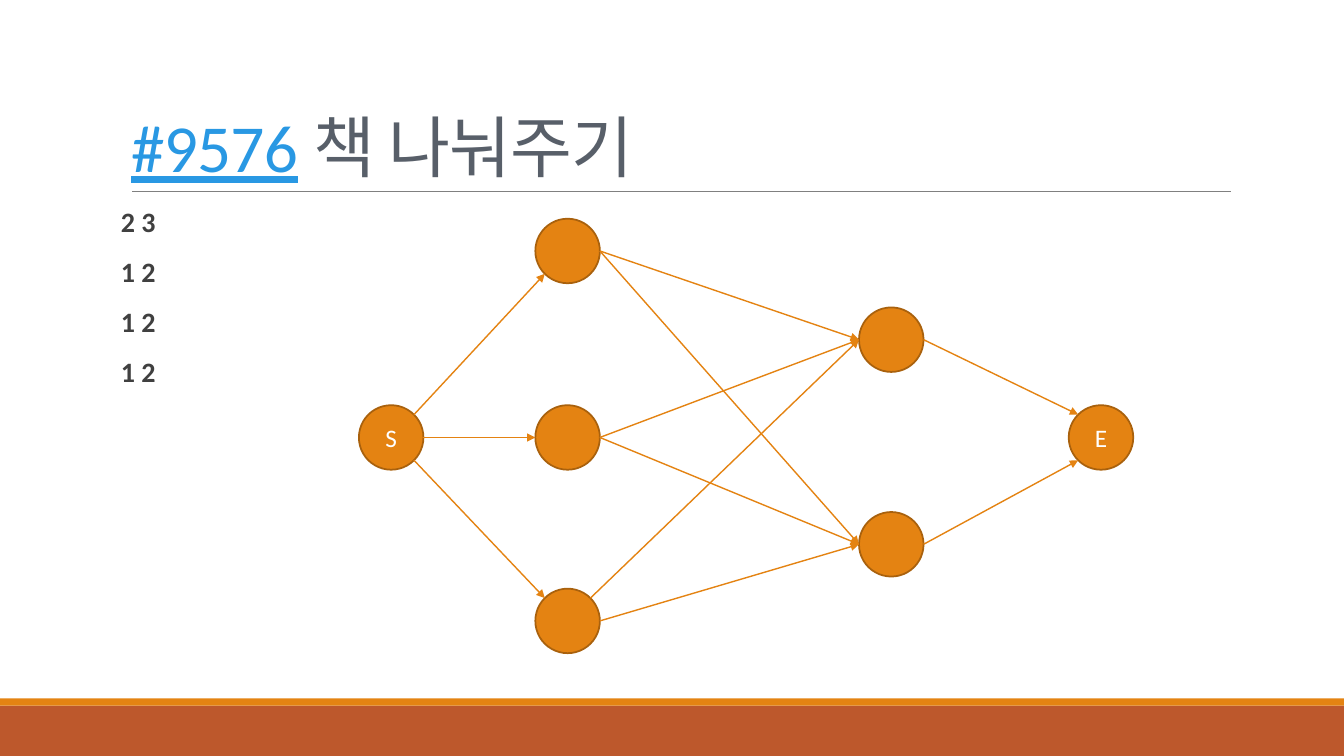
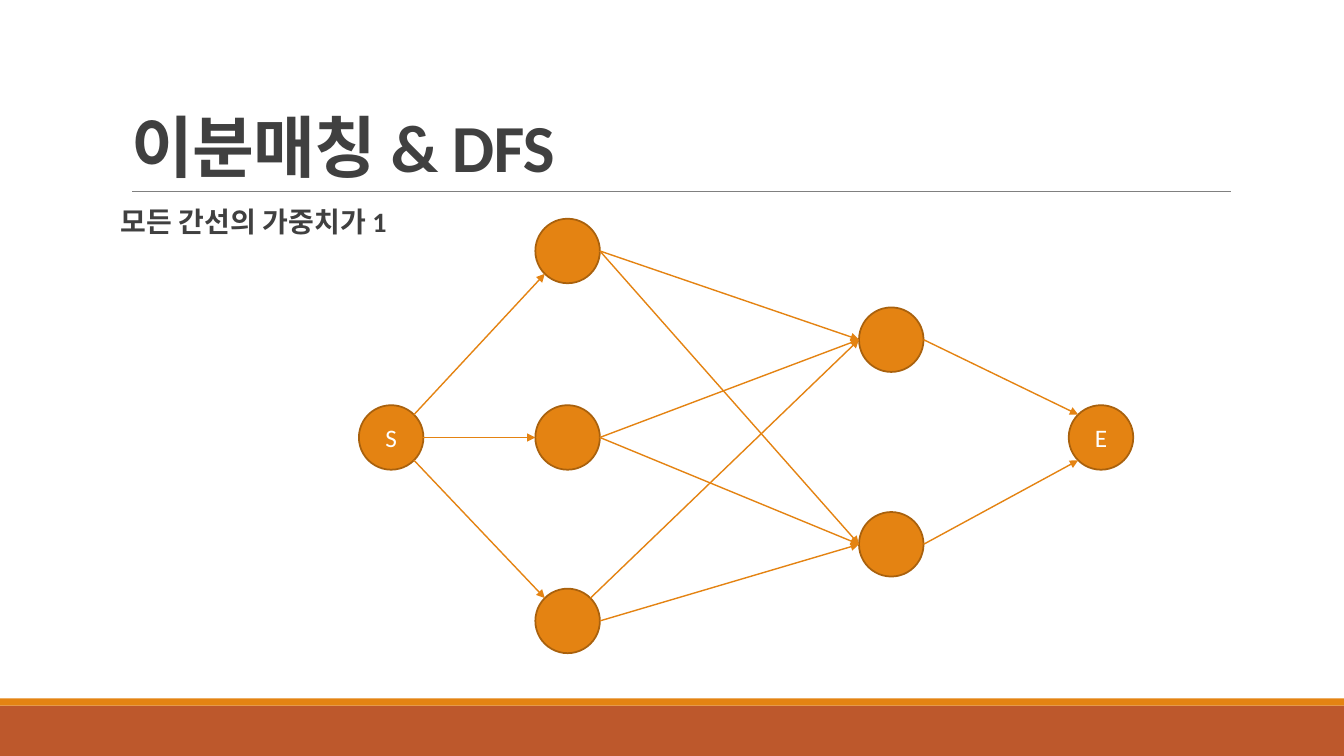
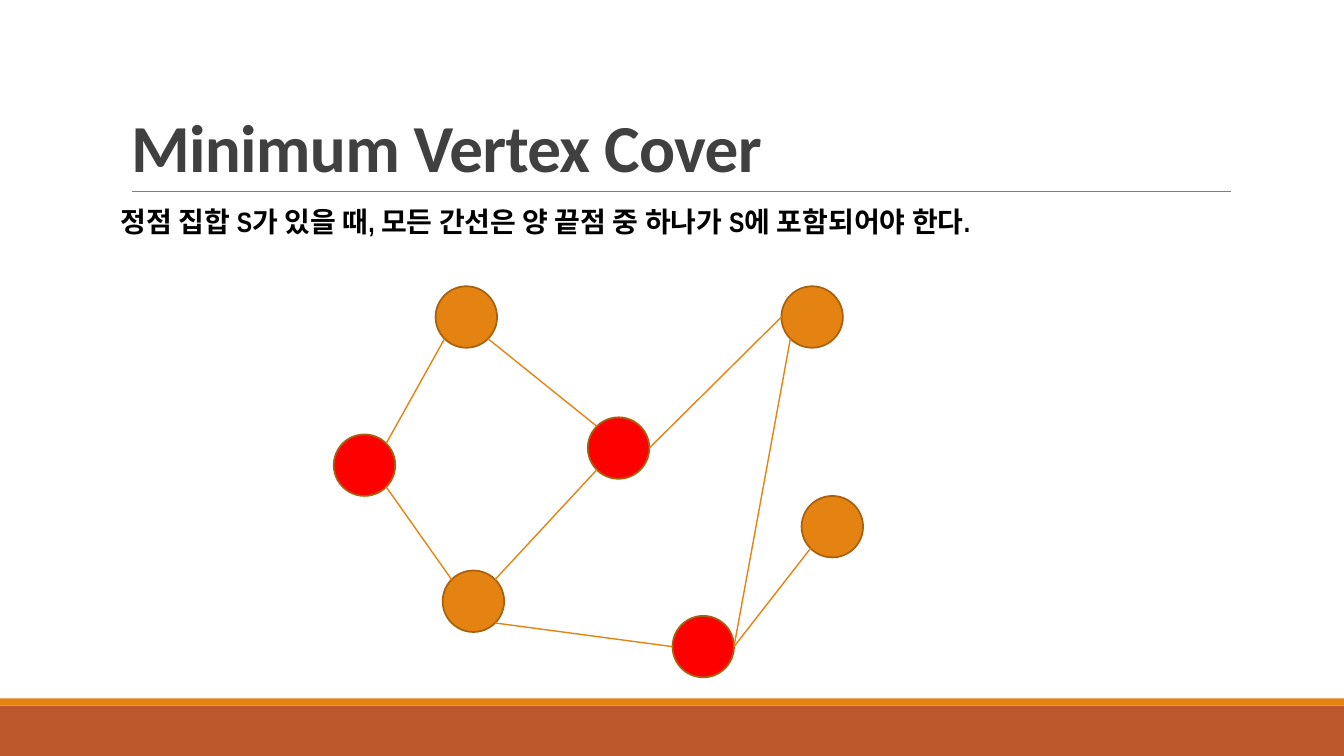
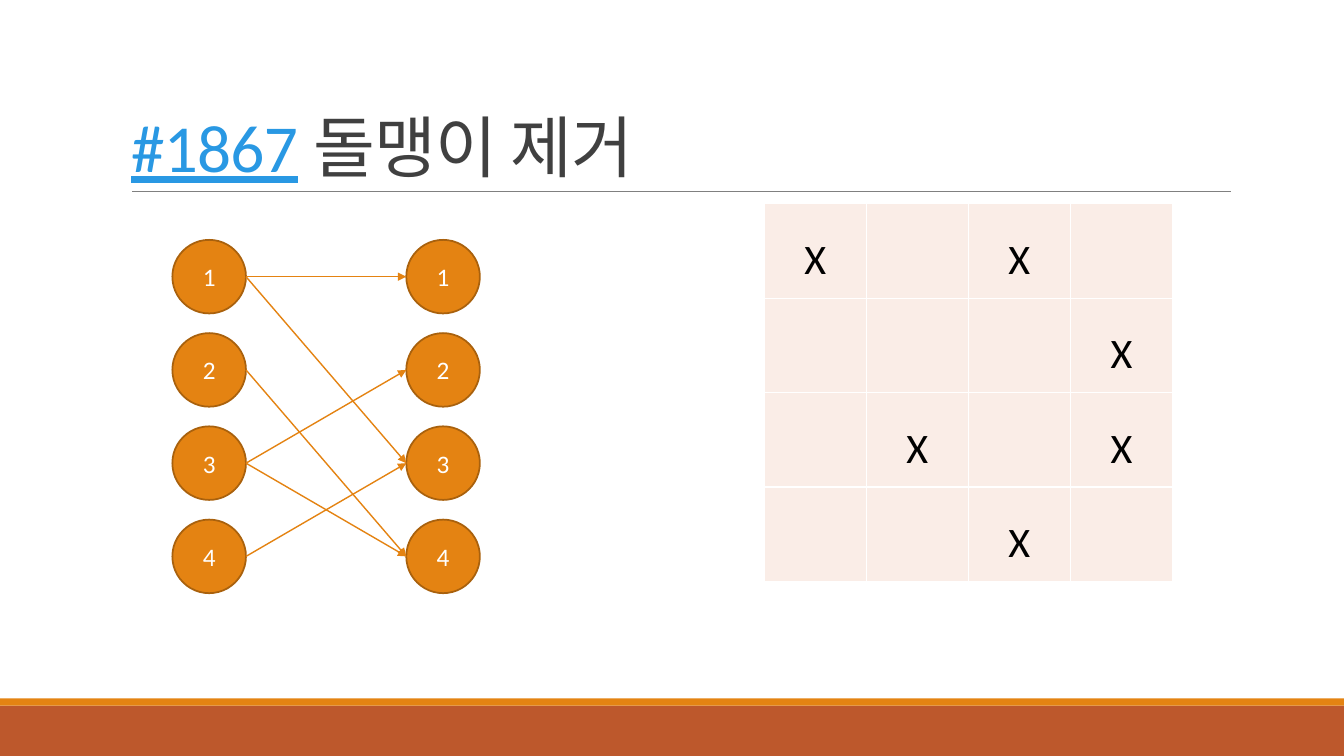
from dataclasses import dataclass
from math import sqrt

from lxml import etree
from pptx import Presentation
from pptx.dml.color import RGBColor
from pptx.enum import shapes, text
from pptx.oxml import ns
from pptx.util import Inches, Pt


@dataclass(frozen=True)
class Theme:
    orange: str = "E48312"
    outline: str = "A9610D"
    rust: str = "BD582C"
    red: str = "FF0000"
    ink: str = "404040"
    slate: str = "585F69"
    link: str = "2998E3"
    rule: str = "808080"
    cell: str = "FAEDE7"
    black: str = "000000"
    white: str = "FFFFFF"
    font: str = "Calibri"
    korean_font: str = "Open Sans"
    narrow_font: str = "Arial Narrow"
    title_size: int = 48
    body_size: int = 20
    node_size: int = 18
    mark_size: int = 30


THEME = Theme()

# Points on a circle where edges attach, as offsets in radii
DIAGONAL = 1 / sqrt(2)
SITES = {
    "w": (-1, 0), "e": (1, 0),
    "nw": (-DIAGONAL, -DIAGONAL), "ne": (DIAGONAL, -DIAGONAL),
    "sw": (-DIAGONAL, DIAGONAL), "se": (DIAGONAL, DIAGONAL),
}

# Flow network: name -> (left, top); edges -> (from, site, to, site)
FLOW_SIZE = 0.64
FLOW_NODES = {
    "S": (3.56, 4.02), "E": (10.6, 4.02),
    "person 1": (5.31, 2.17), "person 2": (5.31, 4.02), "person 3": (5.31, 5.84),
    "book 1": (8.52, 3.05), "book 2": (8.52, 5.08),
}
FLOW_EDGES = [
    ("S", "ne", "person 1", "sw"),
    ("S", "e", "person 2", "w"),
    ("S", "se", "person 3", "nw"),
    ("person 1", "e", "book 1", "w"),
    ("person 1", "e", "book 2", "w"),
    ("person 2", "e", "book 1", "w"),
    ("person 2", "e", "book 2", "w"),
    ("person 3", "ne", "book 1", "w"),
    ("person 3", "e", "book 2", "w"),
    ("book 1", "e", "E", "nw"),
    ("book 2", "e", "E", "sw"),
]

# Vertex cover graph
COVER_SIZE = 0.61
COVER_NODES = {
    "left": (3.31, 4.31), "low right": (6.67, 6.11), "low left": (4.39, 5.66),
    "middle": (5.83, 4.14), "top left": (4.32, 2.84),
    "top right": (7.75, 2.84), "right": (7.95, 4.92),
}
COVERED = {"left", "low right", "middle"}
COVER_EDGES = [
    ("top left", "se", "middle", "nw"),
    ("top left", "sw", "left", "ne"),
    ("left", "se", "low left", "nw"),
    ("low left", "se", "low right", "w"),
    ("low right", "e", "top right", "sw"),
    ("low right", "e", "right", "sw"),
    ("middle", "sw", "low left", "ne"),
    ("middle", "e", "top right", "w"),
]

# Stones on the board; each one is also an edge from its row to its column
STONES = [(1, 1), (1, 3), (2, 4), (3, 2), (3, 4), (4, 3)]
BOARD_COUNT = 4
STONE_SIZE = 0.73
STONE_PITCH = 0.925


def color(value):
    return RGBColor.from_string(value)


def style_font(font, size, fill, name=THEME.font, bold=False):
    font.name, font.size, font.bold = name, Pt(size), bold
    font.color.rgb = color(fill)


def add_filled(page, kind, at, fill, outline=None):
    shape = page.shapes.add_shape(kind, *map(Inches, at))
    shape.shadow.inherit = False
    shape.fill.solid()
    shape.fill.fore_color.rgb = color(fill)
    if outline:
        shape.line.color.rgb = color(outline)
        shape.line.width = Pt(1.25)
    else:
        shape.line.fill.background()
    return shape


def add_line(page, start, end, fill, width, arrow=False):
    line = page.shapes.add_connector(
        shapes.MSO_CONNECTOR.STRAIGHT, *map(Inches, (*start, *end)))
    line.line.color.rgb = color(fill)
    line.line.width = Pt(width)
    if arrow:
        etree.SubElement(line.line._get_or_add_ln(), ns.qn("a:tailEnd"), type="triangle")
    etree.SubElement(line.element.spPr, ns.qn("a:effectLst"))
    return line


def add_node(page, at, size, label="", fill=THEME.orange):
    node = add_filled(page, shapes.MSO_SHAPE.OVAL, (*at, size, size), fill, THEME.outline)
    if label:
        node.text_frame.text = label
        node.text_frame.vertical_anchor = text.MSO_ANCHOR.MIDDLE
        para = node.text_frame.paragraphs[0]
        para.alignment = text.PP_ALIGN.CENTER
        style_font(para.font, THEME.node_size, THEME.white)


def site_point(at, size, site):
    return tuple(edge + size / 2 * (1 + offset) for edge, offset in zip(at, SITES[site]))


def add_edges(page, nodes, edges, size, arrow=True):
    for source, leaving, target, entering in edges:
        add_line(page, site_point(nodes[source], size, leaving),
                 site_point(nodes[target], size, entering), THEME.orange, 1, arrow)


def add_title(page, *runs, bold=False):
    """Each run is (wording, colour, font, underlined)."""
    title = page.shapes.title
    title.left, title.top, title.width, title.height = map(Inches, (1.2, 0.31, 11, 1.59))
    frame = title.text_frame
    frame.word_wrap = True
    frame.auto_size = text.MSO_AUTO_SIZE.NONE
    frame.vertical_anchor = text.MSO_ANCHOR.BOTTOM
    para = frame.paragraphs[0]
    para.alignment = text.PP_ALIGN.LEFT
    para.line_spacing = 0.85
    for wording, fill, name, underlined in runs:
        span = para.add_run()
        span.text = wording
        style_font(span.font, THEME.title_size, fill, name, bold)
        span.font.underline = underlined
        span.font._element.set("spc", "-50")


def add_body(page, *lines, fill=THEME.ink, name=THEME.font):
    box = page.shapes.add_textbox(*map(Inches, (1.2, 2.02, 11, 4.4)))
    frame = box.text_frame
    frame.word_wrap = True
    frame.margin_left = frame.margin_right = 0
    frame.text = "\n".join(lines)
    for para in frame.paragraphs:
        para.line_spacing = 0.9
        para.space_before, para.space_after = Pt(12), Pt(2)
        style_font(para.font, THEME.body_size, fill, name, bold=True)


def add_flow_network(page):
    for name, at in FLOW_NODES.items():
        add_node(page, at, FLOW_SIZE, name if name in ("S", "E") else "")
    add_edges(page, FLOW_NODES, FLOW_EDGES, FLOW_SIZE)


def add_cover_graph(page):
    for name, at in COVER_NODES.items():
        add_node(page, at, COVER_SIZE, fill=THEME.red if name in COVERED else THEME.orange)
    add_edges(page, COVER_NODES, COVER_EDGES, COVER_SIZE, arrow=False)


def add_stone_graph(page):
    nodes = {(side, number): (left, 2.38 + (number - 1) * STONE_PITCH)
             for side, left in (("row", 1.71), ("column", 4.03))
             for number in range(1, BOARD_COUNT + 1)}
    for (_, number), at in nodes.items():
        add_node(page, at, STONE_SIZE, str(number))
    edges = [(("row", row), "e", ("column", column), "w") for row, column in STONES]
    add_edges(page, nodes, edges, STONE_SIZE)


def style_cell(cell):
    cell.fill.solid()
    cell.fill.fore_color.rgb = color(THEME.cell)
    properties = cell._tc.get_or_add_tcPr()
    for index, side in enumerate(("lnL", "lnR", "lnT", "lnB")):
        border = etree.Element(ns.qn(f"a:{side}"), w=str(Pt(1)))
        fill = etree.SubElement(border, ns.qn("a:solidFill"))
        etree.SubElement(fill, ns.qn("a:srgbClr"), val=THEME.white)
        properties.insert(index, border)


def add_board(page):
    board = page.shapes.add_table(
        BOARD_COUNT, BOARD_COUNT, *map(Inches, (7.58, 2.02, 4.05, 3.75))).table
    board.first_row = board.horz_banding = False
    for cell in board.iter_cells():
        style_cell(cell)
    for row, column in STONES:
        cell = board.cell(row - 1, column - 1)
        cell.text = "X"
        para = cell.text_frame.paragraphs[0]
        para.alignment = text.PP_ALIGN.CENTER
        para.line_spacing = 1.5
        style_font(para.font, THEME.mark_size, THEME.black)


def decorate_layout(layout, page):
    """Draw the bands and title rule on a page, then move them to its layout."""
    for placeholder in list(layout.placeholders):
        if placeholder.placeholder_format.type != shapes.PP_PLACEHOLDER.TITLE:
            layout.shapes.element.remove(placeholder.element)
    rectangle = shapes.MSO_SHAPE.RECTANGLE
    parts = [
        add_filled(page, rectangle, (0, 7, 13.33, 0.5), THEME.rust),
        add_filled(page, rectangle, (0, 6.93, 13.33, 0.07), THEME.orange),
        add_line(page, (1.31, 1.9), (12.21, 1.9), THEME.rule, 0.5),
    ]
    for part in parts:
        layout.shapes.element.append(part.element)


def main():
    deck = Presentation()
    deck.slide_width, deck.slide_height = Inches(13.33), Inches(7.5)
    layout = deck.slide_layouts.get_by_name("Title Only")
    books, matching, cover, stones = [deck.slides.add_slide(layout) for _ in range(4)]
    decorate_layout(layout, books)

    # Handing out books
    add_title(books, ("#9576", THEME.link, THEME.font, True),
              (" ", THEME.ink, THEME.font, False),
              ("책 나눠주기", THEME.slate, THEME.korean_font, False))
    add_body(books, "2 3", "1 2", "1 2", "1 2")
    add_flow_network(books)

    # Bipartite matching
    add_title(matching, ("이분매칭 & DFS", THEME.ink, THEME.font, False), bold=True)
    add_body(matching, "모든 간선의 가중치가 1")
    add_flow_network(matching)

    # Vertex cover
    add_title(cover, ("Minimum Vertex Cover", THEME.ink, THEME.font, False), bold=True)
    add_body(cover, "정점 집합 S가 있을 때, 모든 간선은 양 끝점 중 하나가 S에 포함되어야 한다.",
             fill=THEME.black, name=THEME.narrow_font)
    add_cover_graph(cover)

    # Removing stones
    add_title(stones, ("#1867", THEME.link, THEME.font, True),
              (" 돌맹이 제거", THEME.ink, THEME.font, False))
    add_board(stones)
    add_stone_graph(stones)

    deck.save("out.pptx")


if __name__ == "__main__":
    main()
